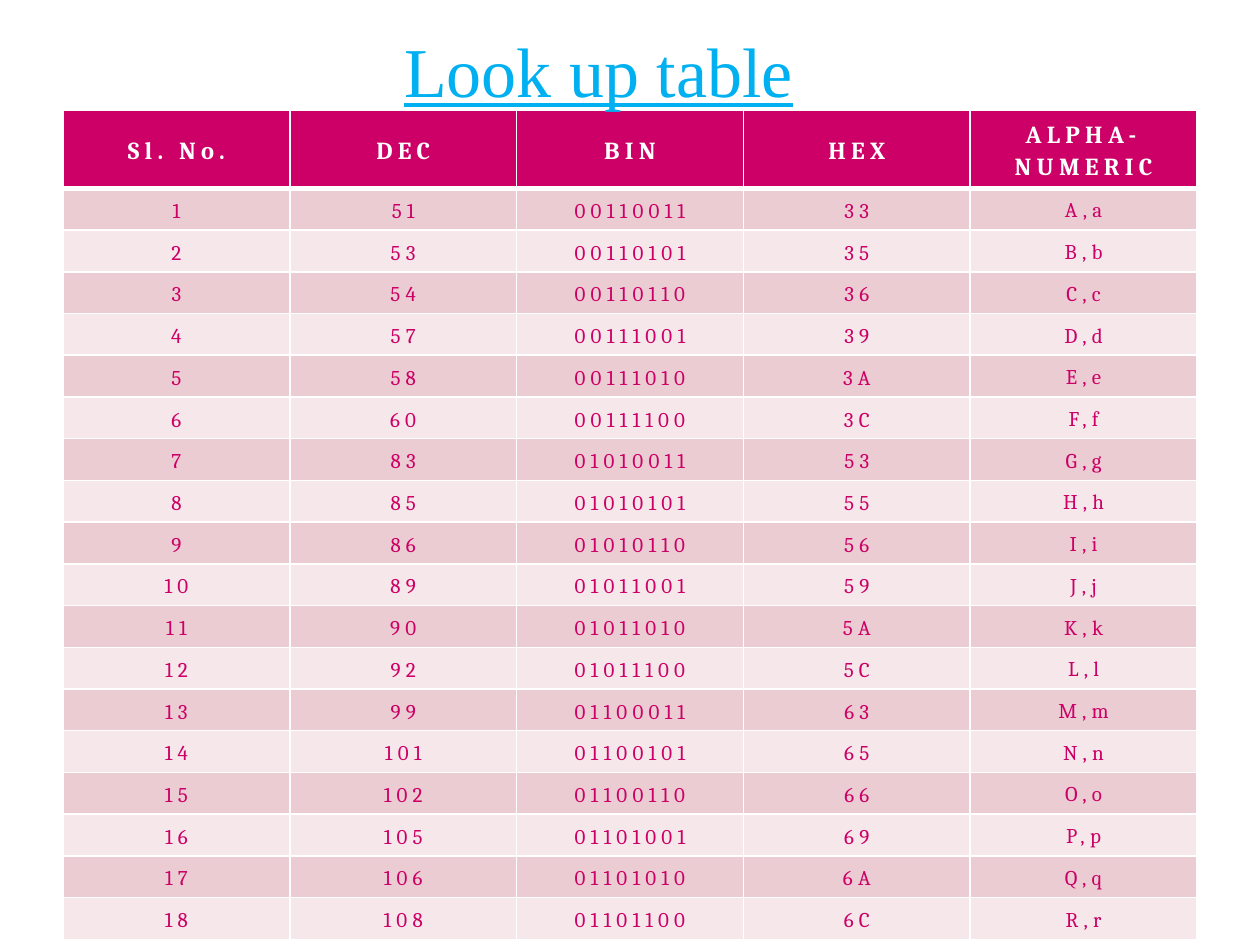
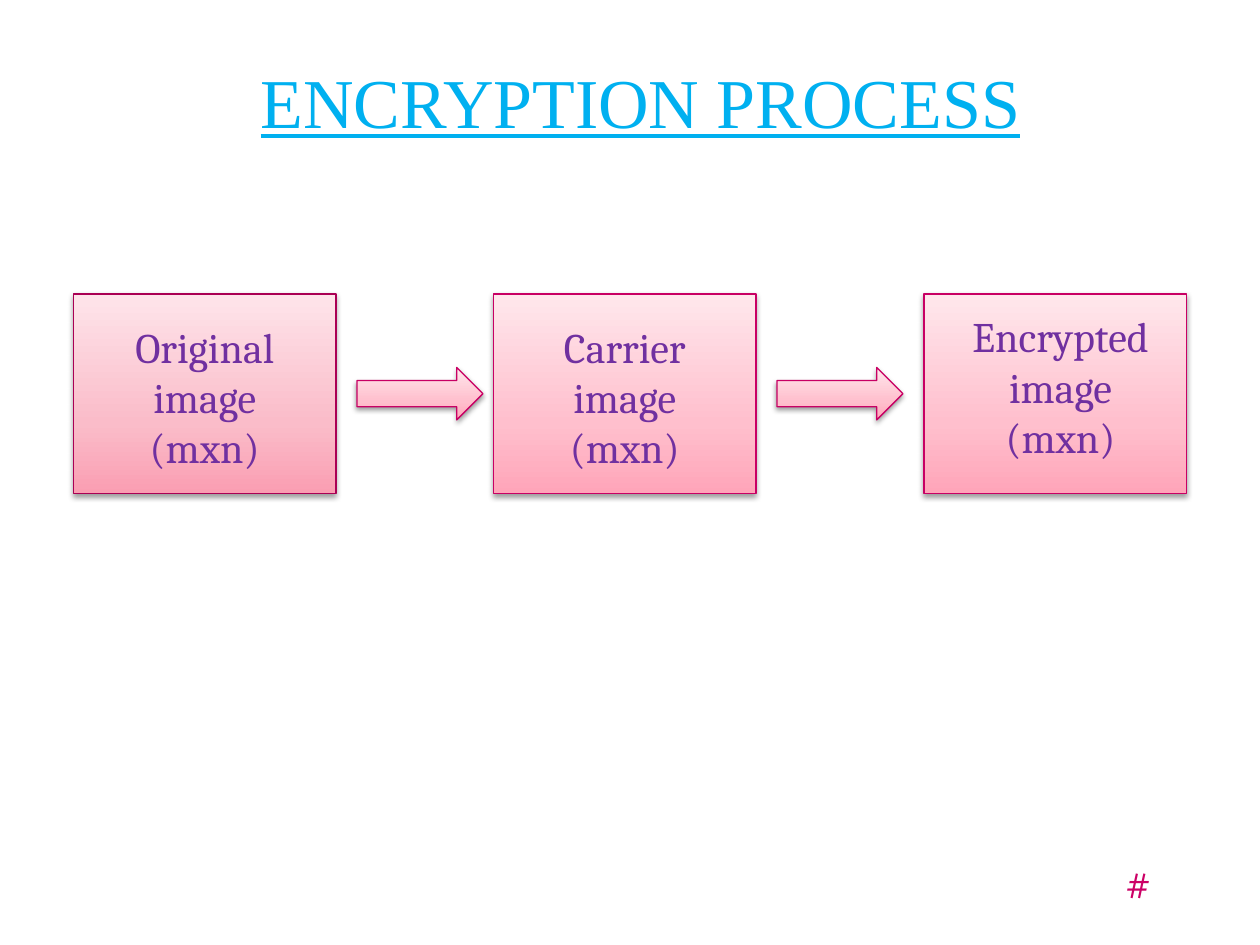
"""Build the look-up table and encryption process slides."""
import lxml.etree
import pptx
import pptx.dml.color
import pptx.enum.shapes
import pptx.enum.text
import pptx.oxml.ns
import pptx.util

RGBColor = pptx.dml.color.RGBColor
Shapes = pptx.enum.shapes.MSO_SHAPE
Align = pptx.enum.text.PP_ALIGN
Anchor = pptx.enum.text.MSO_ANCHOR
Inches = pptx.util.Inches
Pt = pptx.util.Pt
qn = pptx.oxml.ns.qn

WHITE = RGBColor(0xFF, 0xFF, 0xFF)
MAGENTA = RGBColor(0xCC, 0x00, 0x66)
SKY = RGBColor(0x00, 0xB0, 0xF0)
PURPLE = RGBColor(0x70, 0x30, 0xA0)
BLACK = RGBColor(0x00, 0x00, 0x00)
BANDS = (RGBColor(0xEC, 0xCC, 0xD3), RGBColor(0xF6, 0xE7, 0xEA))
PINK_LINE = RGBColor(0xC8, 0x00, 0x64)
DEEP_LINE = RGBColor(0xAA, 0x00, 0x54)
PINK_STOPS = (
    (0, RGBColor(0xFF, 0xA5, 0xB9)),
    (35, RGBColor(0xFF, 0xBF, 0xCD)),
    (100, RGBColor(0xFF, 0xE7, 0xEC)),
)
DEEP_STOPS = (
    (0, RGBColor(0xFA, 0x9E, 0xB2)),
    (35, RGBColor(0xFA, 0xBC, 0xC9)),
    (100, RGBColor(0xFE, 0xE4, 0xEA)),
)

GRID_COLUMNS, GRID_ROWS = 120, 90
TITLE_FONT, BODY_FONT = "Times New Roman", "Cambria"
WIDE_MARGINS = (0.1, 0.05, 0.1, 0.05)
TIGHT_MARGINS = (0.01, 0.01, 0.01, 0)

HEADERS = ("Sl. No.", "DEC", "BIN", "HEX", "ALPHA-NUMERIC")
CODES = (51, 53, 54, 57, 58, 60, 83, 85, 86, 89, 90, 92, 99, 101, 102, 105, 106, 108)


def add_element(parent, tag, **attributes):
    element = lxml.etree.SubElement(parent, qn(tag))
    for name, value in attributes.items():
        element.set(name, str(value))
    return element


class Deck:
    """Hold the shared style and the slide being drawn."""

    def __init__(self):
        self.presentation = pptx.Presentation()
        self.presentation.slide_width = Inches(10)
        self.presentation.slide_height = Inches(7.5)
        self.slide = None

    def add_slide(self):
        self.slide = self.presentation.slides.add_slide(self.presentation.slide_layouts[6])

    def place(self, left, top, width, height):
        column = self.presentation.slide_width / GRID_COLUMNS
        row = self.presentation.slide_height / GRID_ROWS
        return [round(n) for n in (left * column, top * row, width * column, height * row)]

    def style(self, paragraph, size, color, font=BODY_FONT, bold=False, underline=False):
        for run in paragraph.runs:
            run.font.name = font
            run.font.size = Pt(size)
            run.font.color.rgb = color
            run.font.bold = bold
            run.font.underline = underline

    def text(self, box, text, size=24, color=PURPLE, align=Align.CENTER, wrap=True, **style):
        frame = self.slide.shapes.add_textbox(*self.place(*box)).text_frame
        frame.word_wrap = wrap
        frame.text = text
        for paragraph in frame.paragraphs:
            paragraph.alignment = align
            self.style(paragraph, size, color, **style)

    def title(self, box, text):
        self.text(box, text, 40, SKY, font=TITLE_FONT, underline=True)

    def page_mark(self):
        self.text((106, 81, 4.4, 6), "#", color=MAGENTA, align=Align.LEFT, wrap=False)

    def shape(self, kind, box, stops=PINK_STOPS, line=PINK_LINE):
        shape = self.slide.shapes.add_shape(kind, *self.place(*box))
        shape.fill.gradient()
        shape.fill.gradient_angle = 90
        properties = shape._element.spPr
        stop_list = properties.find(".//" + qn("a:gsLst"))
        for stop in list(stop_list):
            stop_list.remove(stop)
        for position, color in stops:
            stop = add_element(stop_list, "a:gs", pos=position * 1000)
            add_element(stop, "a:srgbClr", val=color)
        shape.line.color.rgb = line
        shape.line.width = Pt(0.75)
        shape.shadow.inherit = False
        shadow = add_element(
            properties.find(qn("a:effectLst")), "a:outerShdw",
            blurRad=Pt(3.1), dist=Pt(1.6), dir=90 * 60000, rotWithShape=0,
        )
        add_element(add_element(shadow, "a:srgbClr", val=BLACK), "a:alpha", val=38000)

    def cell(self, cell, text, fill, margins, size, color, bold, bottom):
        for side, width in (("L", 1), ("R", 1), ("T", 1), ("B", bottom)):
            border = add_element(cell._tc.get_or_add_tcPr(), f"a:ln{side}", w=Pt(width))
            add_element(add_element(border, "a:solidFill"), "a:srgbClr", val=WHITE)
        cell.fill.solid()
        cell.fill.fore_color.rgb = fill
        cell.vertical_anchor = Anchor.MIDDLE
        cell.margin_left, cell.margin_top, cell.margin_right, cell.margin_bottom = map(Inches, margins)
        cell.text_frame.text = text
        paragraph = cell.text_frame.paragraphs[0]
        paragraph.alignment = Align.CENTER
        paragraph.line_spacing = 1.15
        paragraph.space_after = Pt(10)
        self.style(paragraph, size, color, bold=bold)
        paragraph.runs[0]._r.get_or_add_rPr().set("spc", "300")

    def table(self, box, headers, records, header_height):
        left, top, width, height = self.place(*box)
        table = self.slide.shapes.add_table(
            len(records) + 1, len(headers), left, top, width, height
        ).table
        table.horz_banding = False
        table.rows[0].height = Inches(header_height)
        for row in list(table.rows)[1:]:
            row.height = round((height - Inches(header_height)) / len(records))
        for column, text in enumerate(headers):
            self.cell(table.cell(0, column), text, MAGENTA, WIDE_MARGINS, 14, WHITE, True, 3)
        for index, record in enumerate(records):
            for column, text in enumerate(record):
                margins = WIDE_MARGINS if column == len(headers) - 1 else TIGHT_MARGINS
                self.cell(table.cell(index + 1, column), text, BANDS[index % 2],
                          margins, 12, MAGENTA, False, 1)


def build_lookup_slide(deck):
    deck.add_slide()
    records = [
        (str(index + 1), str(code), f"{code:08b}", f"{code:X}",
         f"{chr(ord('A') + index)},{chr(ord('a') + index)}")
        for index, code in enumerate(CODES)
    ]
    deck.table((6, 10.5, 108, 79), HEADERS, records, 0.62)
    deck.title((27, 2, 60, 9.25), "Look up table")


def build_encryption_slide(deck):
    deck.add_slide()
    deck.page_mark()
    deck.title((12, 5, 98, 15), "ENCRYPTION PROCESS")
    stages = (
        ("Original", 7, (8, 30, 23, 15.75), DEEP_STOPS, DEEP_LINE),
        ("Carrier", 47, (49, 30, 21, 15.75), PINK_STOPS, PINK_LINE),
        ("Encrypted", 88, (90, 29, 22, 15.75), PINK_STOPS, PINK_LINE),
    )
    for name, left, label_box, stops, line in stages:
        deck.shape(Shapes.RECTANGLE, (left, 28, 25, 19), stops, line)
        deck.text(label_box, f"{name} image\n(mxn)")
    for left in (34, 74):
        deck.shape(Shapes.RIGHT_ARROW, (left, 35, 12, 5))


def main():
    deck = Deck()
    build_lookup_slide(deck)
    build_encryption_slide(deck)
    deck.presentation.save("out.pptx")


if __name__ == "__main__":
    main()
